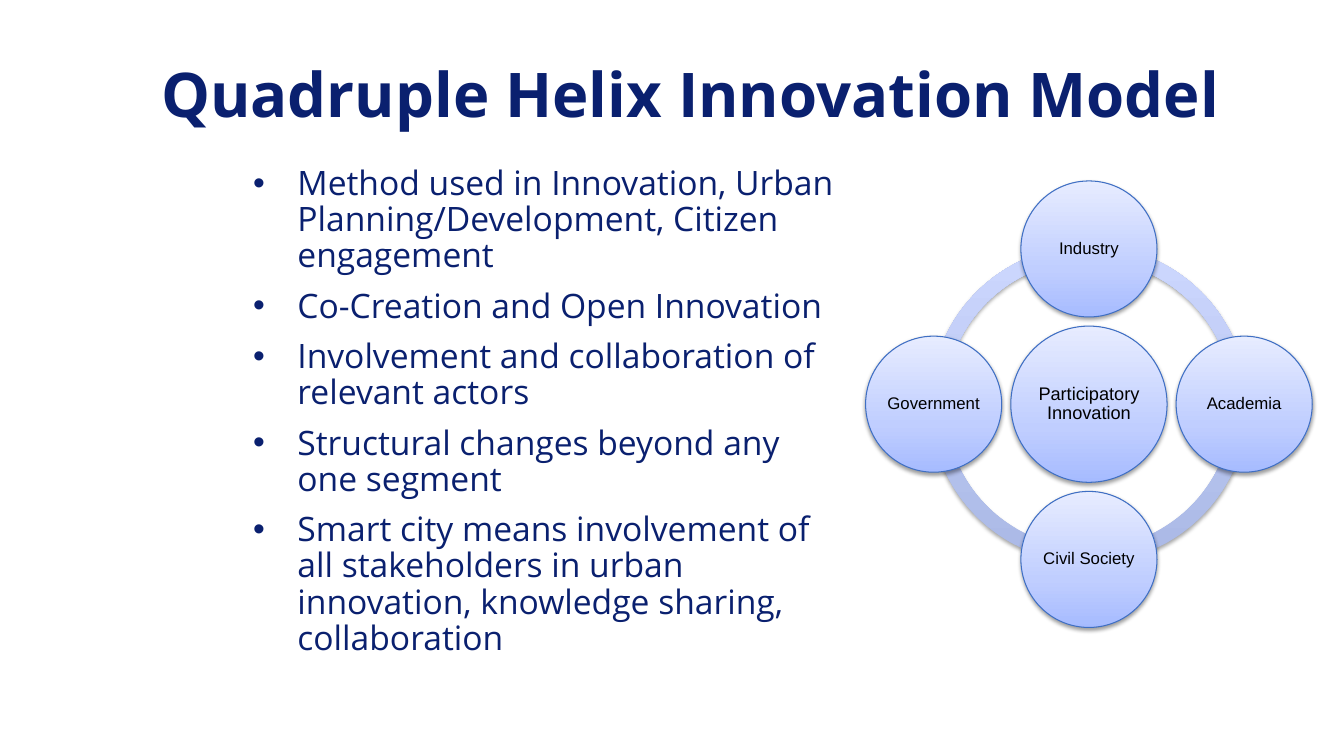
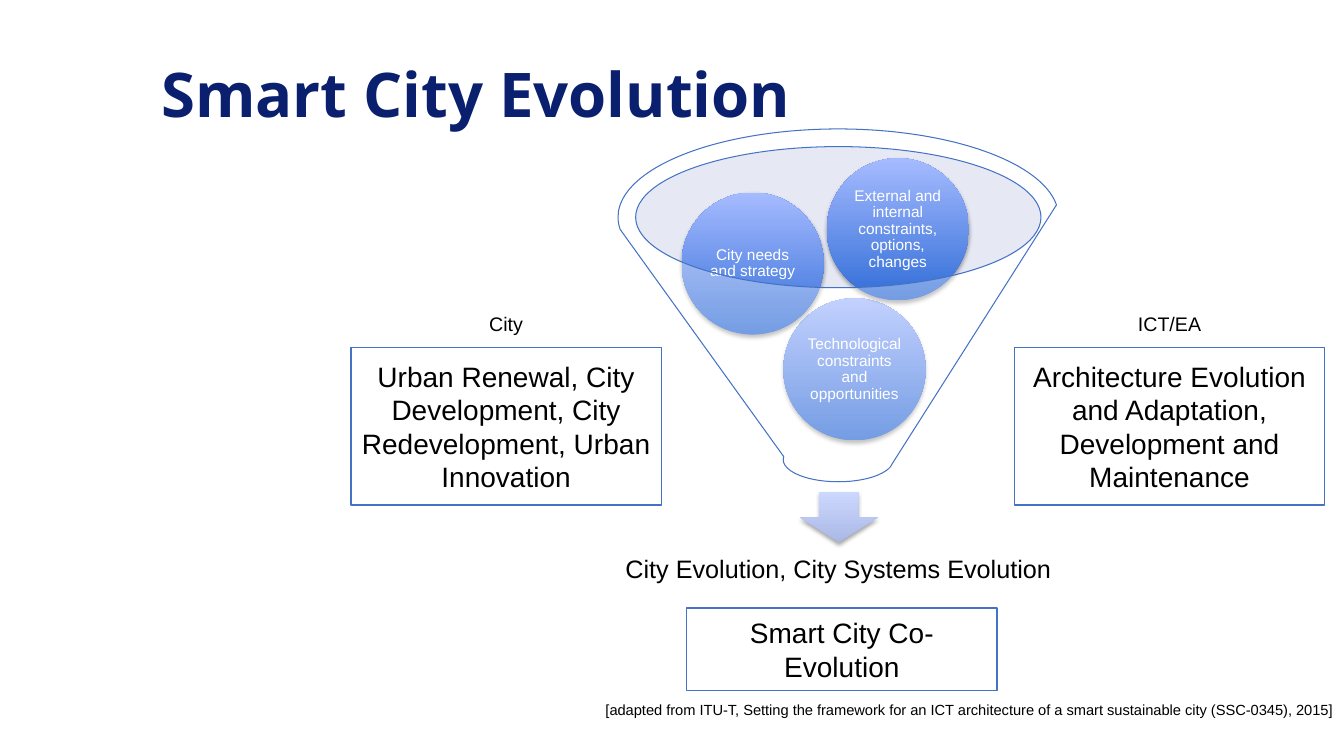
from lxml import etree
from pptx import Presentation
from pptx.dml.color import RGBColor
from pptx.enum.shapes import MSO_SHAPE
from pptx.enum.text import MSO_ANCHOR, MSO_AUTO_SIZE, PP_ALIGN
from pptx.oxml.ns import qn
from pptx.util import Inches, Pt

ELLIPSE, RECTANGLE = MSO_SHAPE.OVAL, MSO_SHAPE.RECTANGLE
BLOCK_ARC, FUNNEL, DOWN_ARROW = MSO_SHAPE.BLOCK_ARC, MSO_SHAPE.FUNNEL, MSO_SHAPE.DOWN_ARROW
TOP, MIDDLE = MSO_ANCHOR.TOP, MSO_ANCHOR.MIDDLE
LEFT, CENTER, RIGHT = PP_ALIGN.LEFT, PP_ALIGN.CENTER, PP_ALIGN.RIGHT
NO_FIT = MSO_AUTO_SIZE.NONE

NAVY, BLACK, WHITE = "0A206F", "000000", "FFFFFF"
OUTLINE, RIM, GLASS = "4472C4", "3F6FC3", "C1C9E4"
PALE = [(0, "AAB8E5"), (100, "CDD8FF")]
LIGHT = [(0, "A6BBFF"), (35, "C0CEFF"), (100, "E7ECFF")]
DEEP = [(0, "316DD7"), (100, "A6BBFF")]
HEADING_FONT, LABEL_FONT = "Open Sans", "Arial"

color = RGBColor.from_string


def write(frame, text, size, ink=BLACK, align=CENTER, anchor=MIDDLE, spacing=1.0,
          margins=(0.1, 0.05)):
    frame.word_wrap = True
    frame.vertical_anchor = anchor
    frame.margin_left = frame.margin_right = Inches(margins[0])
    frame.margin_top = frame.margin_bottom = Inches(margins[1])
    paragraph = frame.paragraphs[0]
    paragraph.alignment = align
    paragraph.line_spacing = spacing
    run = paragraph.add_run()
    run.text = text
    run.font.name = LABEL_FONT
    run.font.size = Pt(size)
    run.font.color.rgb = color(ink)
    return run


def gloss(shape, stops, opacity=35, distance=1.8):
    shape.fill.gradient()
    shape.fill.gradient_angle = 90
    properties = shape._element.spPr
    stop_list = properties.find(".//" + qn("a:gsLst"))
    for stop in list(stop_list):
        stop_list.remove(stop)
    for position, tone in stops:
        stop = etree.SubElement(stop_list, qn("a:gs"), pos=str(position * 1000))
        etree.SubElement(stop, qn("a:srgbClr"), val=tone)
    shape.line.fill.background()
    shape.shadow.inherit = False
    shadow = etree.SubElement(
        properties.find(qn("a:effectLst")), qn("a:outerShdw"), blurRad=str(Pt(3.1)),
        dist=str(Pt(distance)), dir="5400000", rotWithShape="0")
    shade = etree.SubElement(shadow, qn("a:srgbClr"), val=BLACK)
    etree.SubElement(shade, qn("a:alpha"), val=str(opacity * 1000))


prs = Presentation()
prs.slide_width, prs.slide_height = Inches(13.33), Inches(7.5)

slides = []
for layout_index, heading in [(1, "Quadruple Helix Innovation Model"), (5, "Smart City Evolution")]:
    slide = prs.slides.add_slide(prs.slide_layouts[layout_index])
    title = slide.shapes.title
    title.left, title.top = Inches(1.5), Inches(0.58)
    title.width, title.height = Inches(11.5), Inches(0.77)
    title.text_frame.auto_size = NO_FIT
    run = write(title.text_frame, heading, 44, NAVY, LEFT, spacing=0.9)
    run.font.name = HEADING_FONT
    run.font.bold = True
    slides.append(slide)
helix, evolution = slides

points = [
    "Method used in Innovation, Urban Planning/Development, Citizen engagement",
    "Co-Creation and Open Innovation",
    "Involvement and collaboration of relevant actors",
    "Structural changes beyond any one segment",
    "Smart city means involvement of all stakeholders in urban innovation, "
    "knowledge sharing, collaboration",
]
body = helix.placeholders[1]
body.left, body.top = Inches(2.35), Inches(1.6)
body.width, body.height = Inches(6.13), Inches(4.76)
body.text_frame.auto_size = NO_FIT
body.text_frame.vertical_anchor = TOP
for index, point in enumerate(points):
    paragraph = body.text_frame.add_paragraph() if index else body.text_frame.paragraphs[0]
    properties = paragraph._p.get_or_add_pPr()
    properties.set("marL", str(Inches(0.5)))
    properties.set("indent", str(Inches(-0.44)))
    bullet_color = etree.SubElement(properties, qn("a:buClr"))
    etree.SubElement(bullet_color, qn("a:srgbClr"), val=NAVY)
    etree.SubElement(properties, qn("a:buFont"), typeface=LABEL_FONT)
    etree.SubElement(properties, qn("a:buChar"), char="•")
    paragraph.alignment = LEFT
    paragraph.line_spacing = 0.9
    paragraph.space_before = Pt(10 if index else 0)
    run = paragraph.add_run()
    run.text = point
    run.font.name = HEADING_FONT
    run.font.size = Pt(24)
    run.font.color.rgb = color(NAVY)

center_x, center_y, orbit, ring_size = 10.8, 4.01, 1.54, 3.15
for start, end in [(108, 162), (54, 108), (0, 54), (162, 0)]:
    arc = helix.shapes.add_shape(
        BLOCK_ARC, Inches(center_x - ring_size / 2), Inches(center_y - ring_size / 2),
        Inches(ring_size), Inches(ring_size))
    arc.adjustments[0], arc.adjustments[1], arc.adjustments[2] = start, end, 0.046
    gloss(arc, PALE)

actors = [
    ("Participatory Innovation", 0, 0, 1.55, 13, 0.02),
    ("Industry", 0, -1, 1.35, 12, 0),
    ("Academia", 1, 0, 1.35, 12, 0),
    ("Civil Society", 0, 1, 1.35, 12, 0),
    ("Government", -1, 0, 1.35, 12, 0),
]
for actor, across, down, diameter, size, side in actors:
    bubble = helix.shapes.add_shape(
        ELLIPSE, Inches(center_x + across * orbit - diameter / 2),
        Inches(center_y + down * orbit - diameter / 2), Inches(diameter), Inches(diameter))
    gloss(bubble, LIGHT, 38, 1.6)
    bubble.line.color.rgb = color(RIM)
    bubble.line.width = Pt(0.75)
    write(bubble.text_frame, actor, size, spacing=0.9, margins=(side, 0.02))

mouth = evolution.shapes.add_shape(ELLIPSE, Inches(6.3), Inches(1.46), Inches(4.03), Inches(1.4))
mouth.line.fill.background()

arrow = evolution.shapes.add_shape(
    DOWN_ARROW, Inches(7.93), Inches(4.88), Inches(0.78), Inches(0.5))
gloss(arrow, PALE)

inputs = [
    ("Technological constraints and opportunities", 7.77, 2.96),
    ("City needs and strategy", 6.76, 1.91),
    ("External and internal constraints, options, changes", 8.2, 1.57),
]
for need, left, top in inputs:
    ball = evolution.shapes.add_shape(
        ELLIPSE, Inches(left), Inches(top), Inches(1.41), Inches(1.41))
    gloss(ball, DEEP)
    write(ball.text_frame, need, 11, WHITE, spacing=0.9, margins=(0.02, 0.02))

funnel = evolution.shapes.add_shape(FUNNEL, Inches(6.13), Inches(1.28), Inches(4.37), Inches(3.5))
funnel.line.color.rgb = color(OUTLINE)
funnel.line.width = Pt(0.75)

for glass, tint, opacity in [(mouth, GLASS, 40), (funnel, WHITE, 33)]:
    glass.shadow.inherit = False
    glass.fill.solid()
    glass.fill.fore_color.rgb = color(tint)
    tone = glass._element.spPr.find(qn("a:solidFill")).find(qn("a:srgbClr"))
    etree.SubElement(tone, qn("a:alpha"), val=str(opacity * 1000))

boxes = [
    ("Architecture Evolution and Adaptation, Development and Maintenance", 10.06, 3.45, 1.56),
    ("Urban Renewal, City Development, City Redevelopment, Urban Innovation", 3.48, 3.45, 1.56),
    ("Smart City Co-Evolution", 6.81, 6.03, 0.82),
]
for topic, left, top, height in boxes:
    box = evolution.shapes.add_shape(
        RECTANGLE, Inches(left), Inches(top), Inches(3.08), Inches(height))
    box.shadow.inherit = False
    box.fill.solid()
    box.fill.fore_color.rgb = color(WHITE)
    box.line.color.rgb = color(OUTLINE)
    box.line.width = Pt(1)
    write(box.text_frame, topic, 20)

labels = [
    ("City Evolution, City Systems Evolution", 5.95, 5.3, 4.73, 0.72, 18, CENTER, MIDDLE, 0.9, (0.14, 0.14)),
    ("[adapted from ITU-T, Setting the framework for an ICT architecture of a smart "
     "sustainable city (SSC-0345), 2015]", 5.37, 6.9, 7.96, 0.29, 10.5, RIGHT, TOP, 1.0, (0.1, 0.05)),
    ("City", 3.48, 3.05, 3.08, 0.4, 14, CENTER, TOP, 1.0, (0.1, 0.05)),
    ("ICT/EA", 10.06, 3.05, 3.08, 0.4, 14, CENTER, TOP, 1.0, (0.1, 0.05)),
]
for label, left, top, width, height, size, align, anchor, spacing, margins in labels:
    caption = evolution.shapes.add_textbox(Inches(left), Inches(top), Inches(width), Inches(height))
    write(caption.text_frame, label, size, BLACK, align, anchor, spacing, margins)

prs.save("out.pptx")
